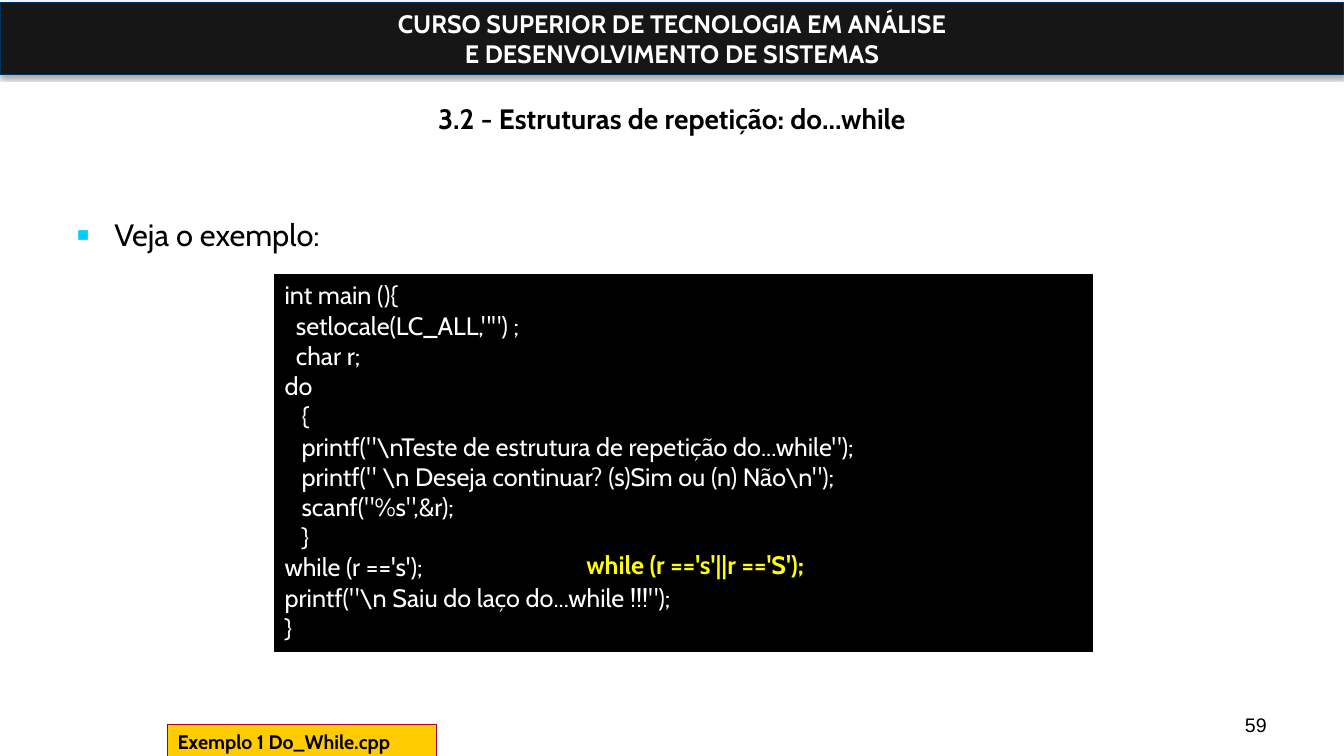
from lxml import etree
from pptx import Presentation
from pptx.dml.color import RGBColor
from pptx.enum import shapes, text
from pptx.oxml import ns
from pptx.util import Pt

# Content
COURSE = ["CURSO SUPERIOR DE TECNOLOGIA EM ANÁLISE", "E DESENVOLVIMENTO DE SISTEMAS"]
HEADING = ["3.2 - Estruturas de repetição: do...while"]
INTRO = ["Veja o exemplo:"]
CODE = r"""int main (){
  setlocale(LC_ALL,"") ;
  char r;
do
   {
   printf("\nTeste de estrutura de repetição do...while");
   printf(" \n Deseja continuar? (s)Sim ou (n) Não\n");
   scanf("%s",&r);
   }
while (r =='s');
printf("\n Saiu do laço do...while !!!");
}""".split("\n")
ALTERNATIVE = ["while (r =='s'||r =='S');"]
FILE_LABEL = ["Exemplo 1 Do_While.cpp"]
PAGE = ["59"]

# Colours
BLACK = RGBColor(0x00, 0x00, 0x00)
WHITE = RGBColor(0xFF, 0xFF, 0xFF)
YELLOW = RGBColor(0xFF, 0xFF, 0x00)
CHARCOAL = RGBColor(0x16, 0x16, 0x16)
NAVY = RGBColor(0x00, 0x32, 0x64)
AMBER = RGBColor(0xFF, 0xCC, 0x00)
CRIMSON = RGBColor(0xA5, 0x00, 0x21)
CYAN = RGBColor(0x00, 0xCC, 0xFF)

LEFT, CENTER, RIGHT = text.PP_ALIGN.LEFT, text.PP_ALIGN.CENTER, text.PP_ALIGN.RIGHT
TOP, MIDDLE, BOTTOM = text.MSO_ANCHOR.TOP, text.MSO_ANCHOR.MIDDLE, text.MSO_ANCHOR.BOTTOM
WIDTH, HEIGHT = 960, 540
MARGIN = 48
BULLET_INDENT = 26.6

deck = Presentation()
deck.slide_width, deck.slide_height = Pt(WIDTH), Pt(HEIGHT)
slide = deck.slides.add_slide(deck.slide_layouts[6])


def add_bullet(paragraph, color, percent, indent):
    props = paragraph._p.get_or_add_pPr()
    props.set("marL", str(Pt(indent)))
    props.set("indent", str(-Pt(indent)))
    bullet_color = etree.SubElement(props, ns.qn("a:buClr"))
    etree.SubElement(bullet_color, ns.qn("a:srgbClr"), val=str(color))
    etree.SubElement(props, ns.qn("a:buSzPct"), val=str(percent * 1000))
    etree.SubElement(props, ns.qn("a:buFont"), typeface="Arial")
    etree.SubElement(props, ns.qn("a:buChar"), char="■")


def add_shadow(box, blur, distance, opacity):
    effects = box._element.spPr.find(ns.qn("a:effectLst"))
    shadow = etree.SubElement(effects, ns.qn("a:outerShdw"), blurRad=str(Pt(blur)),
                              dist=str(Pt(distance)), dir="5400000", rotWithShape="0")
    shade = etree.SubElement(shadow, ns.qn("a:srgbClr"), val=str(BLACK))
    etree.SubElement(shade, ns.qn("a:alpha"), val=str(opacity * 1000))


def write(lines, left, top, width, height, size=18, color=BLACK, bold=False, font="Cabin",
          align=LEFT, anchor=TOP, fill=None, line=None, line_width=0.75, bullet=None):
    area = Pt(left), Pt(top), Pt(width), Pt(height)
    if fill is None:
        box = slide.shapes.add_textbox(*area)
    else:
        box = slide.shapes.add_shape(shapes.MSO_SHAPE.RECTANGLE, *area)
        box.shadow.inherit = False
        box.fill.solid()
        box.fill.fore_color.rgb = fill
        box.line.color.rgb = line
        box.line.width = Pt(line_width)
    frame = box.text_frame
    frame.word_wrap = True
    frame.vertical_anchor = anchor
    for number, words in enumerate(lines):
        paragraph = frame.add_paragraph() if number else frame.paragraphs[0]
        paragraph.alignment = align
        if bullet is not None:
            add_bullet(paragraph, bullet, 65, BULLET_INDENT)
        run = paragraph.add_run()
        run.text = words
        run.font.name, run.font.size, run.font.bold = font, Pt(size), bold
        run.font.color.rgb = color
    return box


# Course band
band = write(COURSE, 0, 2, WIDTH, 51.3, color=WHITE, bold=True, align=CENTER,
             anchor=MIDDLE, fill=CHARCOAL, line=NAVY)
add_shadow(band, 3.1, 1.8, 35)

# Page number, heading and intro
write(PAGE, 688, 492, 224, 37.5, size=14, font="Arial", align=RIGHT, anchor=BOTTOM)
write(HEADING, MARGIN, 30.5, WIDTH - 2 * MARGIN, 108, size=20, bold=True,
      align=CENTER, anchor=MIDDLE)
write(INTRO, MARGIN, 150.5, WIDTH - 2 * MARGIN, 34, size=22, bullet=CYAN)

# File label
write(FILE_LABEL, 119.8, 517.5, 191.8, 24.3, size=14, bold=True, fill=AMBER, line=CRIMSON)

# Program and alternative condition
write(CODE, 196.2, 196.2, 584, 269, color=WHITE, fill=BLACK, line=BLACK, line_width=1)
write(ALTERNATIVE, 411.8, 389, 242.6, 29, color=YELLOW, bold=True)

deck.save("out.pptx")
